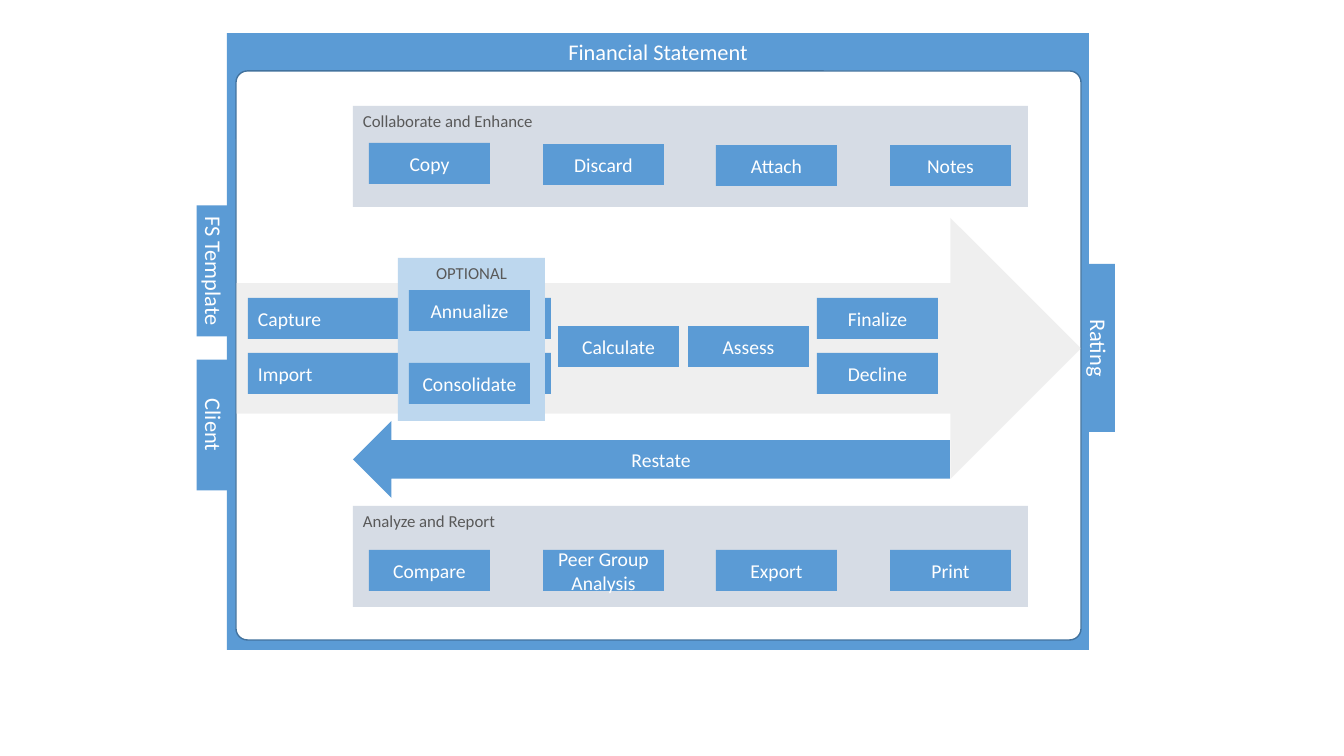
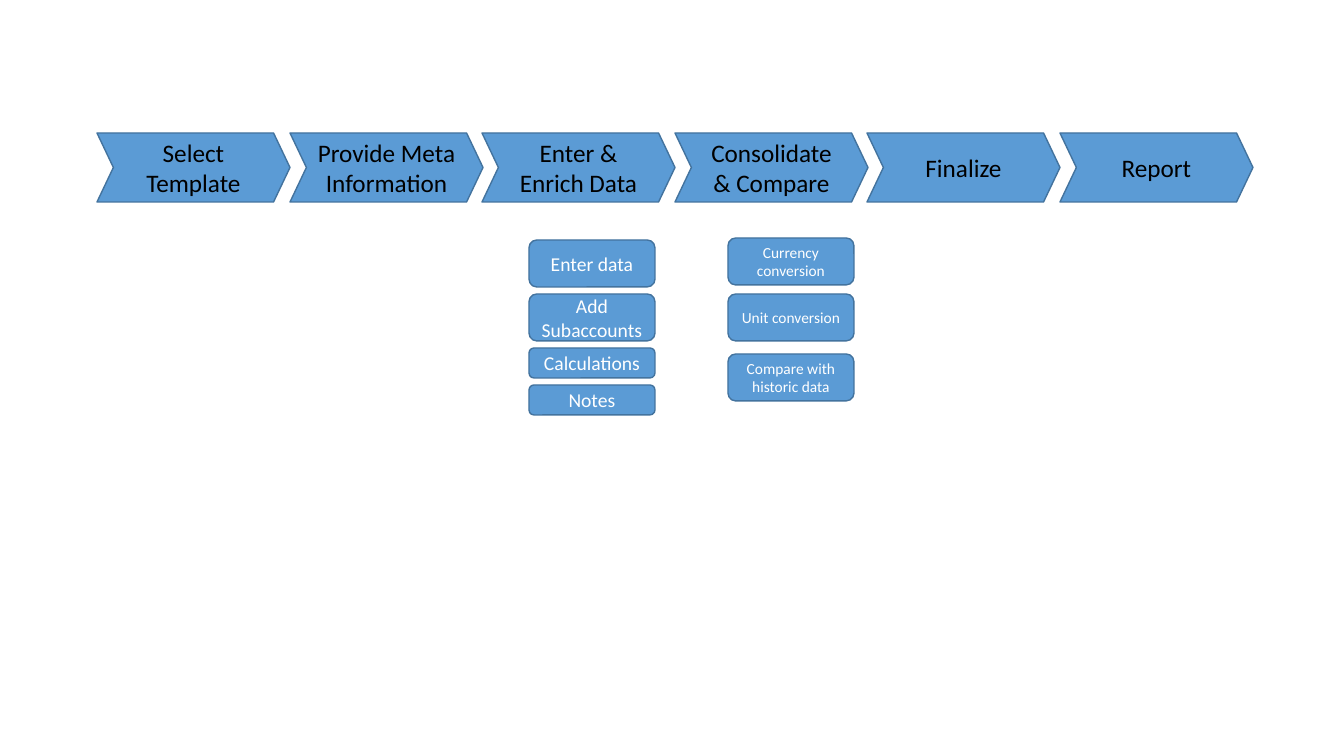
from lxml import etree
from pptx import Presentation
from pptx import util as u
from pptx.dml import color
from pptx.enum import shapes, text
from pptx.oxml import ns

SCALE = 914400 / 100.8  # EMU per px
FONT = "Calibri"
COLORS = {
    "blue": "5B9BD5",
    "outline": "43739E",
    "white": "FFFFFF",
    "black": "000000",
    "gray_text": "595959",
    "arrow": "D9D9D9",
    "band": "D6DCE5",
    "optional": "BDD7EE",
}
KIND = shapes.MSO_SHAPE
LEFT, CENTER = text.PP_ALIGN.LEFT, text.PP_ALIGN.CENTER
TOP, MIDDLE = text.MSO_ANCHOR.TOP, text.MSO_ANCHOR.MIDDLE


def px(length):
    return u.Emu(round(length * SCALE))


def add_box(page, kind, place, words="", size=14, ink="white", fill="blue",
            line=None, align=CENTER, anchor=MIDDLE):
    box = page.shapes.add_shape(kind, *[px(length) for length in place])
    box.shadow.inherit = False
    box.fill.solid()
    box.fill.fore_color.rgb = color.RGBColor.from_string(COLORS[fill])
    if line:
        box.line.color.rgb = color.RGBColor.from_string(COLORS[line])
        box.line.width = u.Pt(1)
    else:
        box.line.fill.background()
    if words:
        frame = box.text_frame
        frame.word_wrap = True
        frame.vertical_anchor = anchor
        para = frame.paragraphs[0]
        para.alignment = align
        span = para.add_run()
        span.text = words
        span.font.name = FONT
        span.font.size = u.Pt(size)
        span.font.color.rgb = color.RGBColor.from_string(COLORS[ink])
    return box


deck = Presentation()
deck.slide_width, deck.slide_height = px(1344), px(756)
blank = deck.slide_layouts[6]

# Slide 1: financial statement overview
page = deck.slides.add_slide(blank)
add_box(page, KIND.RECTANGLE, (227, 33, 862, 617), "Financial Statement", 16, anchor=TOP)
panel = add_box(page, KIND.ROUNDED_RECTANGLE, (236, 71, 845, 569), fill="white", line="outline")
panel.adjustments[0] = 0.02

# Translucent flow arrow
flow = add_box(page, KIND.RIGHT_ARROW, (236, 218, 845, 261), fill="arrow")
tint = flow.fill._xPr.find(".//" + ns.qn("a:srgbClr"))
etree.SubElement(tint, ns.qn("a:alpha"), val="40000")

# Inputs
for top, words in ((298, "Capture"), (353, "Import")):
    add_box(page, KIND.RECTANGLE, (248, top, 303, 41), words, align=LEFT)

# Side tabs, turned a quarter
for place, words, anchor in (
    ((149, 253, 131, 36), "FS Template", TOP),
    ((149, 407, 131, 36), "Client", TOP),
    ((1015, 332, 168, 32), "Rating", MIDDLE),
):
    tab = add_box(page, KIND.RECTANGLE, place, words, 16, anchor=anchor)
    tab.rotation = 90

# Optional group and bands
add_box(page, KIND.RECTANGLE, (398, 258, 147, 163), "OPTIONAL", 12, "gray_text",
        "optional", anchor=TOP)
for top, words in ((106, "Collaborate and Enhance"), (506, "Analyze and Report")):
    add_box(page, KIND.RECTANGLE, (353, top, 675, 101), words, 12, "gray_text",
            "band", align=LEFT, anchor=TOP)

# Step buttons: the flow, then the two band rows
buttons = [
    (409, 290, "Annualize"), (409, 363, "Consolidate"),
    (558, 326, "Calculate"), (688, 326, "Assess"),
    (817, 298, "Finalize"), (817, 353, "Decline"),
]
band_rows = (
    ((143, "Copy"), (144, "Discard"), (145, "Attach"), (145, "Notes")),
    ((550, "Compare"), (550, "Peer Group Analysis"), (550, "Export"), (550, "Print")),
)
for row in band_rows:
    for column, (top, words) in enumerate(row):
        buttons.append((369 + round(173.7 * column), top, words))
for left, top, words in buttons:
    add_box(page, KIND.RECTANGLE, (left, top, 121, 41), words)

add_box(page, KIND.LEFT_ARROW, (353, 421, 597, 77), "Restate")

# Slide 2: process steps
page = deck.slides.add_slide(blank)
steps = ("Select Template", "Provide Meta Information", "Enter & Enrich Data",
         "Consolidate & Compare", "Finalize", "Report")
for index, words in enumerate(steps):
    chevron = add_box(page, KIND.CHEVRON, (97 + round(192.6 * index), 133, 193, 69),
                      words, 18, "black", line="outline")
    chevron.adjustments[0] = 0.238

# Tasks under two of the steps, with narrow side margins so long words fit
task_columns = (
    (529, 14, ((240, 47, "Enter data"), (294, 47, "Add Subaccounts"),
               (348, 30, "Calculations"), (385, 30, "Notes"))),
    (728, 11, ((238, 47, "Currency conversion"), (294, 47, "Unit conversion"),
               (354, 47, "Compare with historic data"))),
)
for left, size, tasks in task_columns:
    for top, height, words in tasks:
        task = add_box(page, KIND.ROUNDED_RECTANGLE, (left, top, 126, height), words,
                       size, line="outline")
        task.text_frame.margin_left = task.text_frame.margin_right = px(6)

deck.save("out.pptx")
